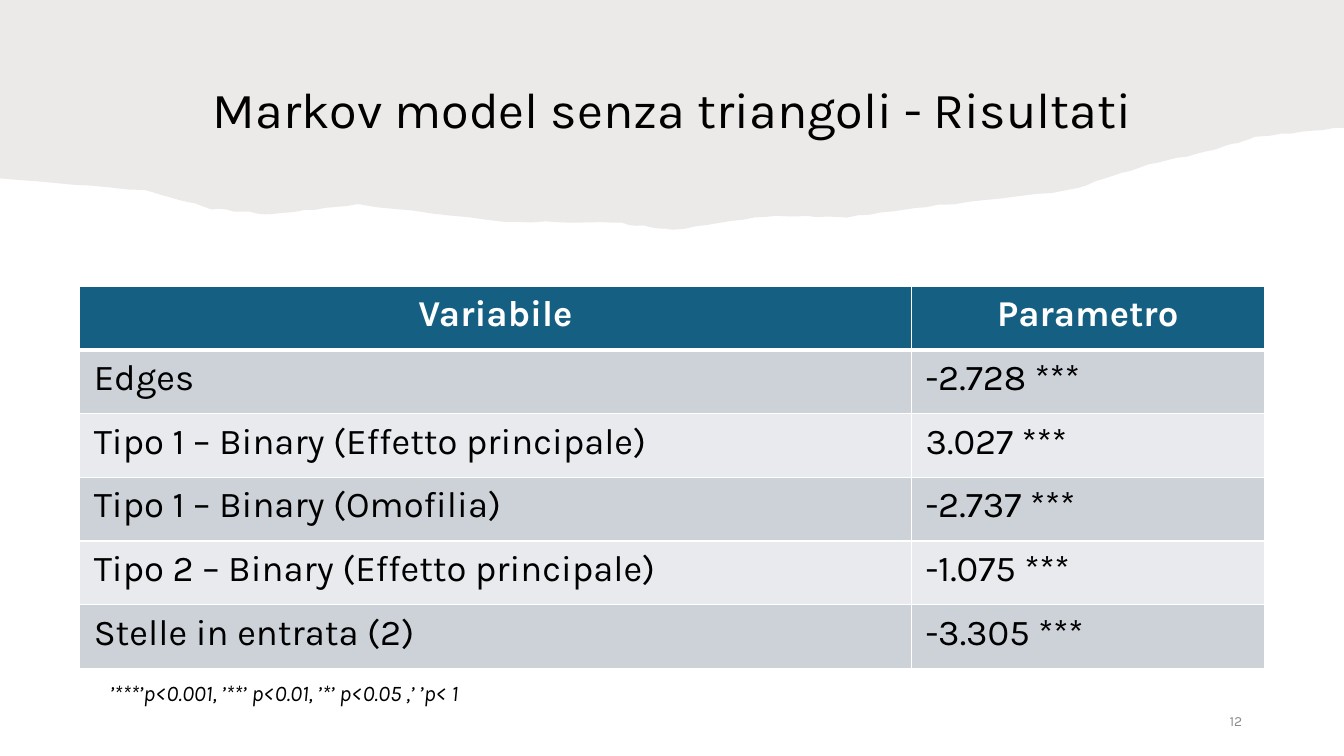
"""Build the results slide for the Markov model without triangles."""
from itertools import pairwise
from math import sin

from lxml.etree import SubElement
from pptx import Presentation
from pptx.dml.color import RGBColor
from pptx.enum.text import MSO_ANCHOR, PP_ALIGN
from pptx.oxml.ns import qn
from pptx.util import Inches, Pt

TITLE = "Markov model senza triangoli - Risultati"
FOOTNOTE = "’***’p<0.001, ’**’ p<0.01, ’*’ p<0.05 ,’ ’p< 1"
PAGE_NUMBER = "12"
HEADER = ("Variabile", "Parametro")
RESULTS = [
    ("Edges", "-2.728 ***"),
    ("Tipo 1 – Binary (Effetto principale)", "3.027 ***"),
    ("Tipo 1 – Binary (Omofilia)", "-2.737 ***"),
    ("Tipo 2 – Binary (Effetto principale)", "-1.075 ***"),
    ("Stelle in entrata (2)", "-3.305 ***"),
]
THEME = {
    "font": "Karla",
    "text": "000000", "light": "FFFFFF", "muted": "8C8C8C",
    "paper": "82766A", "paper_alpha": 15,
    "header": "156082", "bands": ("CCD2D8", "E8EAED"),
    "title_size": 36, "table_size": 26, "note_size": 16, "number_size": 10,
    "border": 1, "header_border": 3,
}
SLIDE_SIZE = (13.33, 7.5)
TITLE_BOX = (0.91, 0.54, 11.52, 0.89)
FOOTNOTE_BOX = (-1.79, 6.72, 9.22, 0.43)
NUMBER_BOX = (9.42, 6.95, 3, 0.4)
TABLE_BOX = (0.79, 2.84, 11.75, 3.79)
COLUMN_WIDTHS = (8.25, 3.5)
CELL_MARGINS = {"left": 0.14, "top": 0.07, "right": 0.14, "bottom": 0.07}
TEAR_BENDS = [(0, 1.77), (1.44, 1.89), (2.1, 2.07), (2.7, 2.13), (3.55, 2.03),
              (5, 2.2), (6.1, 2.21), (6.67, 2.28), (7.6, 2.15), (8.4, 2.15),
              (9.3, 2.04), (10.6, 1.89), (11.3, 1.66), (12.05, 1.48),
              (12.5, 1.35), (13.33, 1.27)]
TEAR_STEPS = 8
TEAR_ROUGHNESS = 0.01


def color(name):
    return RGBColor.from_string(name)


def write(para, words, size, ink, align, bold=False, italic=False):
    para.alignment = align
    span = para.add_run()
    span.text = words
    span.font.name = THEME["font"]
    span.font.size = Pt(size)
    span.font.bold = bold
    span.font.italic = italic
    span.font.color.rgb = color(ink)


def add_text(page, place, words, size, ink, align, anchor, italic=False):
    box = page.shapes.add_textbox(*map(Inches, place))
    box.text_frame.word_wrap = True
    box.text_frame.vertical_anchor = anchor
    para = box.text_frame.paragraphs[0]
    write(para, words, size, ink, align, italic=italic)
    return para


def torn_edge():
    """Join the bends in small steps, each roughened by a little ripple."""
    points = [TEAR_BENDS[0]]
    for (left, start), (right, end) in pairwise(TEAR_BENDS):
        for step in range(1, TEAR_STEPS + 1):
            share = step / TEAR_STEPS
            x = left + (right - left) * share
            ripple = TEAR_ROUGHNESS * sin(17 * x) * sin(41 * x)
            points.append((x, start + (end - start) * share + ripple))
    return points


def add_torn_paper(page):
    outline = page.shapes.build_freeform(0, 0)
    corners = torn_edge() + [(SLIDE_SIZE[0], 0)]
    outline.add_line_segments([(Inches(x), Inches(y)) for x, y in corners])
    paper = outline.convert_to_shape()
    paper.shadow.inherit = False
    paper.line.fill.background()
    paper.fill.solid()
    paper.fill.fore_color.rgb = color(THEME["paper"])
    tint = next(paper.element.spPr.iter(qn("a:srgbClr")))
    SubElement(tint, qn("a:alpha"), val=str(THEME["paper_alpha"] * 1000))


def add_borders(cell, bottom_width):
    properties = cell._tc.get_or_add_tcPr()
    for side in "LRTB":
        width = Pt(bottom_width if side == "B" else THEME["border"])
        line = SubElement(properties, qn(f"a:ln{side}"), w=str(width))
        fill = SubElement(line, qn("a:solidFill"))
        SubElement(fill, qn("a:srgbClr"), val=THEME["light"])


def row_style(row):
    """Give shade, ink, alignment, boldness and bottom border of a row."""
    if row == 0:
        return (THEME["header"], THEME["light"], PP_ALIGN.CENTER, True,
                THEME["header_border"])
    band = THEME["bands"][(row - 1) % 2]
    return band, THEME["text"], PP_ALIGN.JUSTIFY, False, THEME["border"]


def fill_cell(cell, words, row):
    shade, ink, align, bold, bottom_width = row_style(row)
    for side, margin in CELL_MARGINS.items():
        setattr(cell, f"margin_{side}", Inches(margin))
    add_borders(cell, bottom_width)
    cell.fill.solid()
    cell.fill.fore_color.rgb = color(shade)
    write(cell.text_frame.paragraphs[0], words, THEME["table_size"], ink, align, bold)


def add_results(page):
    rows = [HEADER] + RESULTS
    frame = page.shapes.add_table(len(rows), len(HEADER), *map(Inches, TABLE_BOX))
    table = frame.table
    for column, width in zip(table.columns, COLUMN_WIDTHS):
        column.width = Inches(width)
    for row, values in enumerate(rows):
        table.rows[row].height = Inches(TABLE_BOX[3] / len(rows))
        for column, words in enumerate(values):
            fill_cell(table.cell(row, column), words, row)


def main():
    deck = Presentation()
    deck.slide_width, deck.slide_height = map(Inches, SLIDE_SIZE)
    page = deck.slides.add_slide(deck.slide_layouts[6])
    add_torn_paper(page)
    title = add_text(page, TITLE_BOX, TITLE, THEME["title_size"],
                     THEME["text"], PP_ALIGN.CENTER, MSO_ANCHOR.BOTTOM)
    note = add_text(page, FOOTNOTE_BOX, FOOTNOTE, THEME["note_size"],
                    THEME["text"], PP_ALIGN.CENTER, MSO_ANCHOR.TOP, italic=True)
    title.line_spacing = note.line_spacing = 0.9
    note.space_before = Pt(10)
    number = add_text(page, NUMBER_BOX, PAGE_NUMBER, THEME["number_size"],
                      THEME["muted"], PP_ALIGN.RIGHT, MSO_ANCHOR.MIDDLE)
    number.space_after = Pt(6)
    add_results(page)
    deck.save("out.pptx")


if __name__ == "__main__":
    main()
